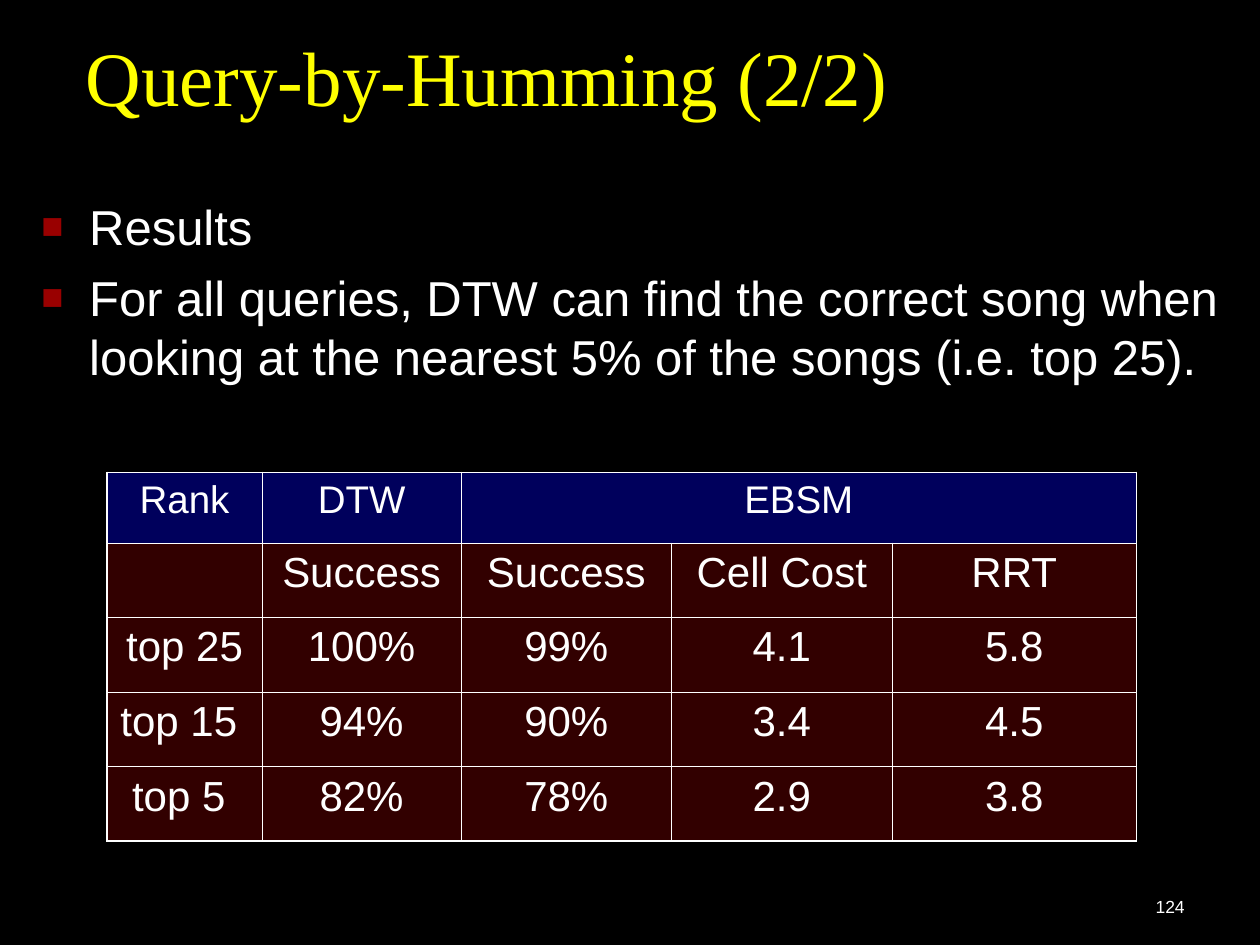
from dataclasses import dataclass

from lxml.etree import SubElement
from pptx import Presentation
from pptx.dml.color import RGBColor as Color
from pptx.enum.text import MSO_ANCHOR as Anchor, PP_ALIGN as Align
from pptx.oxml.ns import qn
from pptx.util import Inches, Pt


@dataclass(frozen=True)
class Theme:
    ground: str = "000000"
    heading: str = "FFFF00"
    text: str = "FFFFFF"
    bullet: str = "990000"
    header_fill: str = "00005C"
    cell_fill: str = "320000"
    serif: str = "Times New Roman"
    sans: str = "Arial"
    title_size: float = 44
    body_size: float = 28
    header_size: float = 22
    cell_size: float = 24
    number_size: float = 10
    outer_line: float = 1.08
    inner_line: float = 0.45


class SlideBuilder:
    """Places elements on a grid of 100 columns by 75 rows."""

    COLUMNS, ROWS = 100, 75

    def __init__(self, deck, theme):
        self.theme = theme
        self.column = deck.slide_width / self.COLUMNS
        self.row = deck.slide_height / self.ROWS
        self.slide = deck.slides.add_slide(deck.slide_layouts[6])
        fill = self.slide.background.fill
        fill.solid()
        fill.fore_color.rgb = Color.from_string(theme.ground)

    def place(self, left, top, width, height):
        return (round(left * self.column), round(top * self.row),
                round(width * self.column), round(height * self.row))

    def add_text(self, para, text, size, font=None, color=None, **layout):
        for name, value in layout.items():
            setattr(para, name, value)
        span = para.add_run()
        span.text = text
        style = {"size": Pt(size), "name": font or self.theme.sans}
        for name, value in style.items():
            setattr(span.font, name, value)
        span.font.color.rgb = Color.from_string(color or self.theme.text)

    def text_frame(self, area, anchor):
        box = self.slide.shapes.add_textbox(*self.place(*area))
        frame = box.text_frame
        settings = {"word_wrap": True, "vertical_anchor": anchor}
        for name, value in settings.items():
            setattr(frame, name, value)
        return frame

    def line(self, area, text, size, **style):
        frame = self.text_frame(area, Anchor.BOTTOM)
        self.add_text(frame.paragraphs[0], text, size, **style)

    def bullets(self, area, items):
        frame = self.text_frame(area, Anchor.TOP)
        for index, text in enumerate(items):
            para = frame.add_paragraph() if index else frame.paragraphs[0]
            self.mark(para)
            layout = {"space_before": Pt(7)} if index else {}
            self.add_text(para, text, self.theme.body_size, **layout)

    def mark(self, para):
        props = para._p.get_or_add_pPr()
        indent = Inches(0.38)
        props.set("marL", str(indent))
        props.set("indent", str(-indent))
        color = SubElement(props, qn("a:buClr"))
        SubElement(color, qn("a:srgbClr"), val=self.theme.bullet)
        SubElement(props, qn("a:buSzPct"), val="75000")
        SubElement(props, qn("a:buFont"), typeface=self.theme.sans)
        SubElement(props, qn("a:buChar"), char="■")

    def table(self, left, top, widths, heights, rows, merge):
        area = self.place(left, top, sum(widths), sum(heights))
        table = self.slide.shapes.add_table(len(rows), len(widths), *area).table
        for column, width in zip(table.columns, widths):
            column.width = round(width * self.column)
        for row, height in zip(table.rows, heights):
            row.height = round(height * self.row)
        for r, texts in enumerate(rows):
            for c, text in enumerate(texts):
                self.cell(table.cell(r, c), text, header=r == 0)
                self.borders(table.cell(r, c), {
                    "L": c == 0, "R": c == len(widths) - 1,
                    "T": r == 0, "B": r == len(rows) - 1})
        first, last = merge
        table.cell(*first).merge(table.cell(*last))
        # The merged cell reaches the right edge of the table
        self.borders(table.cell(*first), {
            "L": False, "R": True, "T": True, "B": False})

    def cell(self, cell, text, header):
        theme = self.theme
        cell.fill.solid()
        cell.fill.fore_color.rgb = Color.from_string(
            theme.header_fill if header else theme.cell_fill)
        if text:
            size = theme.header_size if header else theme.cell_size
            self.add_text(cell.text_frame.paragraphs[0], text, size,
                          alignment=Align.CENTER)

    def borders(self, cell, outer_sides):
        props = cell._tc.get_or_add_tcPr()
        for index, (side, outer) in enumerate(outer_sides.items()):
            tag = qn(f"a:ln{side}")
            for old in props.findall(tag):
                props.remove(old)
            width = self.theme.outer_line if outer else self.theme.inner_line
            line = SubElement(props, tag, w=str(Pt(width)))
            props.insert(index, line)
            fill = SubElement(line, qn("a:solidFill"))
            SubElement(fill, qn("a:srgbClr"), val=self.theme.text)


def main():
    deck = Presentation()
    deck.slide_width, deck.slide_height = Inches(10), Inches(7.5)
    theme = Theme()
    page = SlideBuilder(deck, theme)

    # Title
    page.line((5.8, 2.3, 89.2, 7.8), "Query-by-Humming (2/2)",
              theme.title_size, font=theme.serif, color=theme.heading,
              line_spacing=0.8)

    # Findings
    page.bullets((2.3, 15.1, 100.2, 30.7), [
        "Results",
        "For all queries, DTW can find the correct song when looking at "
        "the nearest 5% of the songs (i.e. top 25).",
    ])

    # Success rates by rank
    page.table(8.5, 37.5, [12.3, 15.8, 16.7, 17.5, 19.4], [5.6] + [5.92] * 4, [
        ["Rank", "DTW", "EBSM", "", ""],
        ["", "Success", "Success", "Cell Cost", "RRT"],
        ["top 25", "100%", "99%", "4.1", "5.8"],
        ["top 15 ", "94%", "90%", "3.4", "4.5"],
        ["top 5 ", "82%", "78%", "2.9", "3.8"],
    ], merge=((0, 2), (0, 4)))

    # Page number
    page.line((74.2, 68.3, 20.8, 5), "124", theme.number_size,
              alignment=Align.RIGHT)

    deck.save("out.pptx")


if __name__ == "__main__":
    main()
